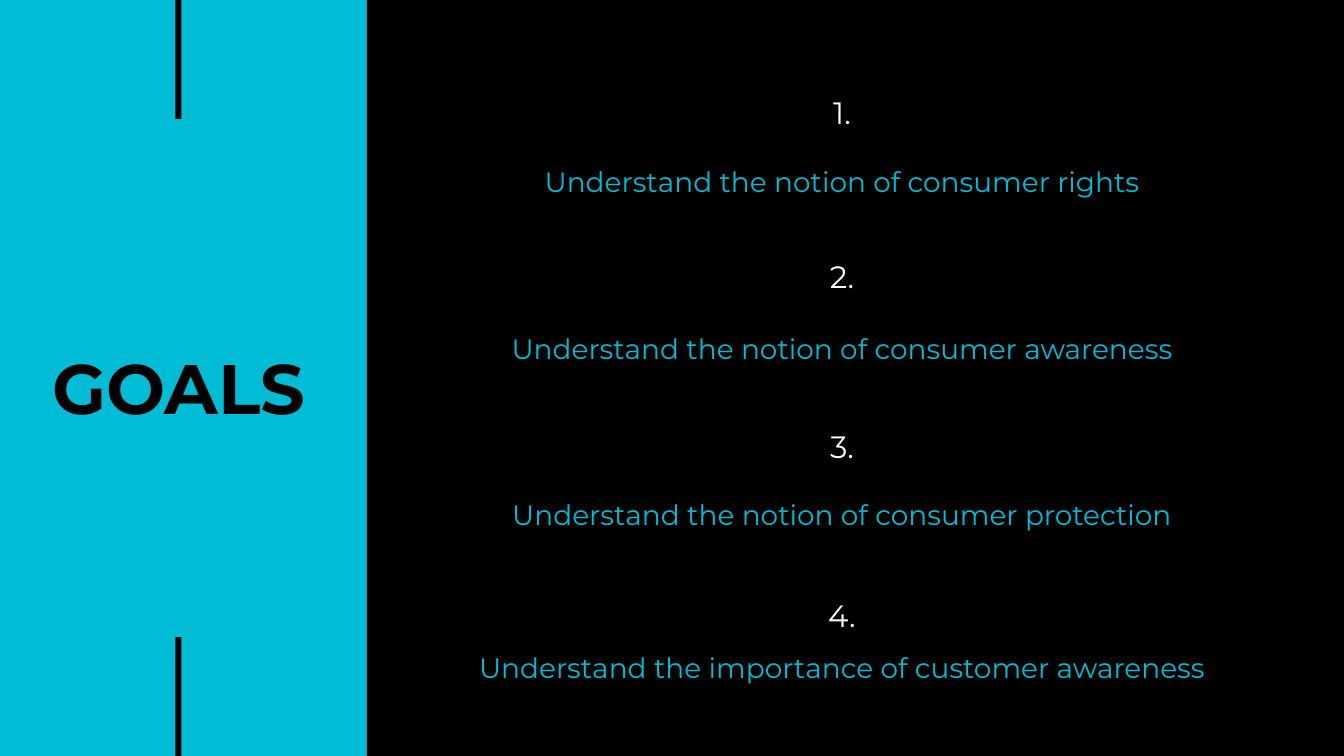
from pptx import Presentation
from pptx.dml.color import RGBColor
from pptx.enum.shapes import MSO_SHAPE
from pptx.enum.text import MSO_ANCHOR, PP_ALIGN
from pptx.util import Inches, Pt

WIDTH, HEIGHT = 20, 11.25
CYAN, BLACK, WHITE = "00BCD4", "000000", "FFFFFF"
FONT = "Montserrat"

# Style: size, colour, bold, line spacing
TITLE = (75, BLACK, True, 1.26)
NUMBER = (33, WHITE, False, 1.4)
GOAL = (30, CYAN, False, 1.5)

PANEL_LEFT = 5.46
BAR_LEFT, BAR_WIDTH, BAR_HEIGHT = 2.61, 0.09, 1.77
COLUMN_LEFT, COLUMN_WIDTH = 6.8, 11.46
LAST_GOAL_GAP = 55

# Top, height, lines of (text, style, space before)
GOAL_BOXES = [
    (1.18, 0.6, [("1.", NUMBER, 0)]),
    (2.2, 1.2, [("Understand the notion of consumer rights", GOAL, 0)]),
    (3.62, 0.6, [("2.", NUMBER, 0)]),
    (4.68, 1.2, [("Understand the notion of consumer awareness", GOAL, 0)]),
    (6.14, 0.6, [("3.", NUMBER, 0)]),
    (7.15, 3.2, [
        ("Understand the notion of consumer protection", GOAL, 0),
        ("4.", NUMBER, LAST_GOAL_GAP),
        ("Understand the importance of customer awareness", GOAL, 0),
    ]),
]


def color(value):
    return RGBColor.from_string(value)


def add_block(slide, left, top, width, height):
    block = slide.shapes.add_shape(
        MSO_SHAPE.RECTANGLE, Inches(left), Inches(top), Inches(width), Inches(height))
    block.shadow.inherit = False
    block.fill.solid()
    block.fill.fore_color.rgb = color(BLACK)
    block.line.fill.background()


def add_text(slide, left, top, width, height, lines, anchor=MSO_ANCHOR.TOP):
    box = slide.shapes.add_textbox(
        Inches(left), Inches(top), Inches(width), Inches(height))
    frame = box.text_frame
    frame.word_wrap = True
    frame.vertical_anchor = anchor
    frame.margin_left = frame.margin_right = 0
    frame.margin_top = frame.margin_bottom = 0
    frame.text = "\n".join(text for text, _, _ in lines)
    for para, (_, style, gap) in zip(frame.paragraphs, lines):
        size, ink, bold, spacing = style
        para.alignment = PP_ALIGN.CENTER
        para.line_spacing = spacing
        para.space_before = Pt(gap)
        for span in para.runs:
            span.font.name = FONT
            span.font.size = Pt(size)
            span.font.bold = bold
            span.font.color.rgb = color(ink)


def main():
    deck = Presentation()
    deck.slide_width, deck.slide_height = Inches(WIDTH), Inches(HEIGHT)
    page = deck.slides.add_slide(deck.slide_layouts[6])
    page.background.fill.solid()
    page.background.fill.fore_color.rgb = color(CYAN)

    add_text(page, -1.38, 4.29, 8.07, 2.61, [("GOALS", TITLE, 0)], MSO_ANCHOR.MIDDLE)
    add_block(page, PANEL_LEFT, 0, WIDTH - PANEL_LEFT, HEIGHT)
    for top, height, lines in GOAL_BOXES:
        add_text(page, COLUMN_LEFT, top, COLUMN_WIDTH, height, lines)
    for top in (0, HEIGHT - BAR_HEIGHT):
        add_block(page, BAR_LEFT, top, BAR_WIDTH, BAR_HEIGHT)

    deck.save("out.pptx")


if __name__ == "__main__":
    main()
